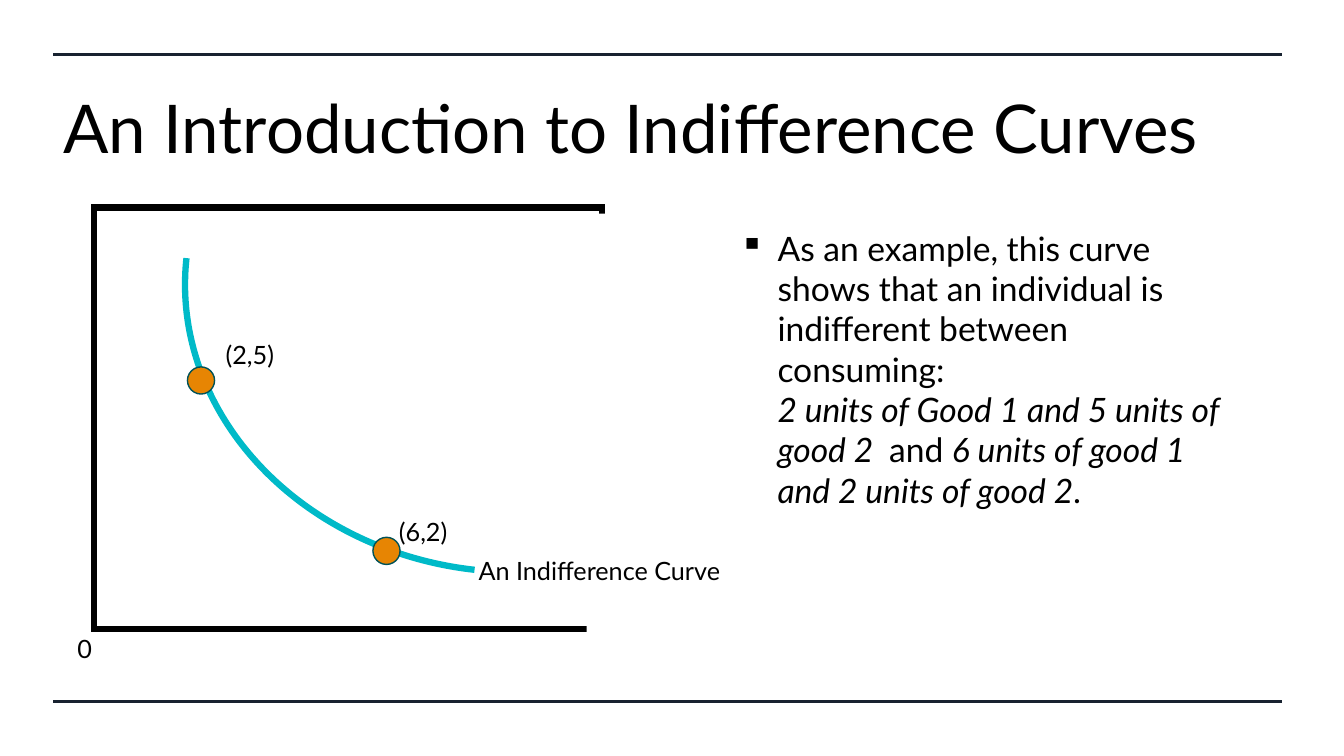
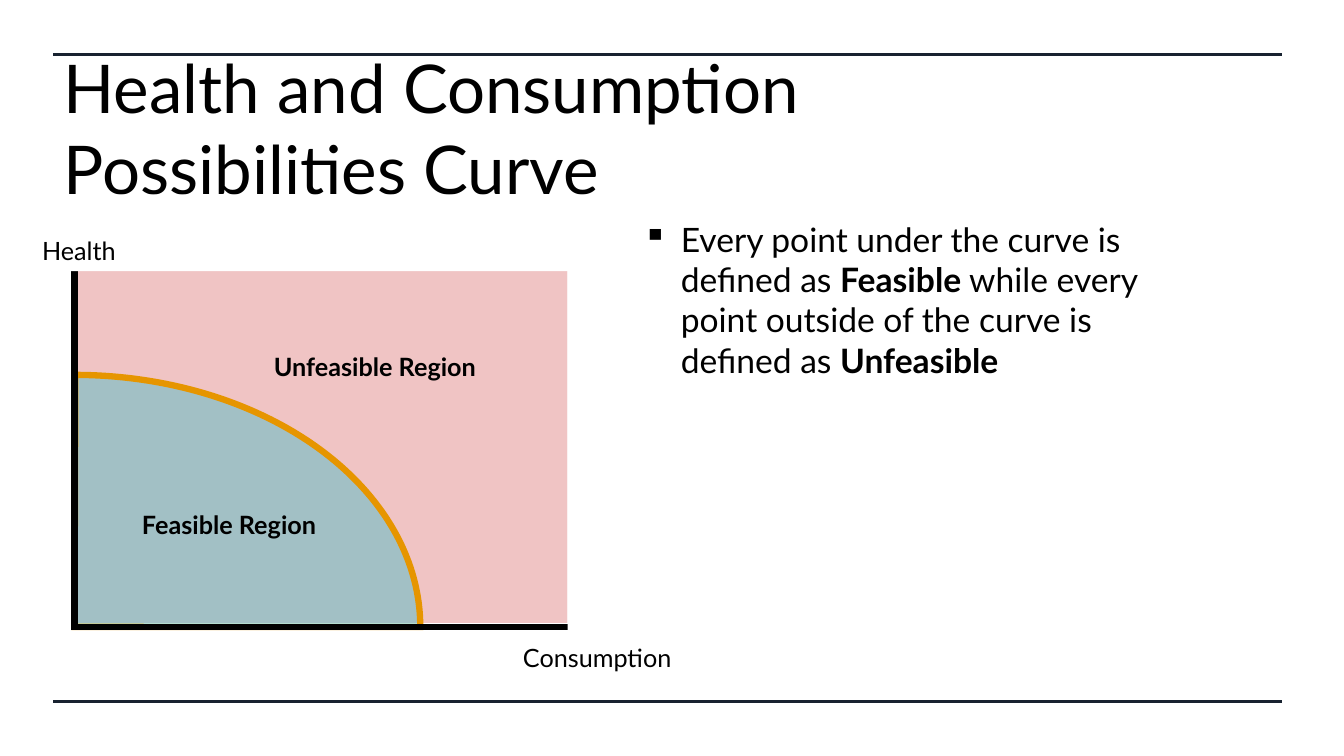
from dataclasses import dataclass
from typing import NamedTuple, Optional

from lxml.etree import SubElement
from pptx import Presentation
from pptx.dml.color import RGBColor
from pptx.enum.shapes import MSO_CONNECTOR, MSO_SHAPE
from pptx.enum.text import MSO_ANCHOR, MSO_AUTO_SIZE, PP_ALIGN
from pptx.oxml.ns import qn
from pptx.shapes.autoshape import Shape
from pptx.slide import Slide
from pptx.text.text import TextFrame, _Paragraph
from pptx.util import Pt

# Shared style
BLACK = RGBColor(0x00, 0x00, 0x00)
WHITE = RGBColor(0xFF, 0xFF, 0xFF)
NAVY = RGBColor(0x18, 0x22, 0x30)
TEAL = RGBColor(0x00, 0xBA, 0xC8)
DARK_TEAL = RGBColor(0x00, 0x52, 0x58)
ORANGE = RGBColor(0xE7, 0x85, 0x03)
AMBER = RGBColor(0xE6, 0x95, 0x00)
RED = RGBColor(0xC0, 0x00, 0x00)

FONT = "Lato"
TITLE_SIZE, BODY_SIZE, LABEL_SIZE = 48, 24, 18
BULLET_INDENT = 27
CURVE_WIDTH = 4.5
LABEL_HEIGHT = 28.8
DOT_SIZE = 19.4
RULE_LEFT, RULE_RIGHT = 38.2, 915.8
RULE_TOPS = (38.9, 501.1)


class Box(NamedTuple):
    left: float
    top: float
    width: float
    height: float

    def lengths(self) -> list[Pt]:
        return [Pt(value) for value in self]


class Words(NamedTuple):
    text: str
    bold: bool = False
    italic: bool = False


@dataclass(frozen=True)
class Label:
    text: str
    left: float
    top: float
    width: float
    bold: bool = False


@dataclass(frozen=True)
class Figure:
    kind: MSO_SHAPE
    box: Box
    fill: Optional[RGBColor] = None
    opacity: int = 100
    line: Optional[RGBColor] = None
    line_width: float = CURVE_WIDTH
    rotation: float = 0
    adjustments: tuple[float, ...] = ()


TITLE_BOX = Box(38.2, 46.8, 837.4, 87.8)


# Text helpers
def add_words(paragraph: _Paragraph, words: Words, size: float) -> None:
    for index, line in enumerate(words.text.split("\n")):
        if index:
            paragraph.add_line_break()
        if line:
            run = paragraph.add_run()
            run.text = line
            font = run.font
            font.name, font.size = FONT, Pt(size)
            font.bold, font.italic = words.bold, words.italic
            font.color.rgb = BLACK


def add_text_frame(slide: Slide, box: Box, wrap: bool) -> TextFrame:
    frame = slide.shapes.add_textbox(*box.lengths()).text_frame
    frame.word_wrap = wrap
    frame.vertical_anchor = MSO_ANCHOR.TOP
    return frame


def add_label(slide: Slide, label: Label) -> None:
    box = Box(label.left, label.top, label.width, LABEL_HEIGHT)
    frame = add_text_frame(slide, box, wrap=False)
    frame.auto_size = MSO_AUTO_SIZE.SHAPE_TO_FIT_TEXT
    add_words(frame.paragraphs[0], Words(label.text, bold=label.bold), LABEL_SIZE)


def add_bullet(slide: Slide, box: Box, parts: list[Words]) -> None:
    paragraph = add_text_frame(slide, box, wrap=True).paragraphs[0]
    properties = paragraph._p.get_or_add_pPr()
    properties.set("marL", str(Pt(BULLET_INDENT)))
    properties.set("indent", str(-Pt(BULLET_INDENT)))
    SubElement(properties, qn("a:buChar")).set("char", "▪")
    for words in parts:
        add_words(paragraph, words, BODY_SIZE)


# Shape helpers
def add_figure(slide: Slide, figure: Figure) -> Shape:
    shape = slide.shapes.add_shape(figure.kind, *figure.box.lengths())
    shape.shadow.inherit = False
    shape.rotation = figure.rotation
    for index, value in enumerate(figure.adjustments):
        shape.adjustments[index] = value
    if figure.fill is None:
        shape.fill.background()
    else:
        shape.fill.solid()
        shape.fill.fore_color.rgb = figure.fill
        if figure.opacity < 100:
            color = shape._element.spPr.find(qn("a:solidFill"))[0]
            SubElement(color, qn("a:alpha")).set("val", str(figure.opacity * 1000))
    if figure.line is None:
        shape.line.fill.background()
    else:
        shape.line.color.rgb = figure.line
        shape.line.width = Pt(figure.line_width)
        outline = shape._element.spPr.find(qn("a:ln"))
        SubElement(outline, qn("a:miter")).set("lim", "800000")
    return shape


def axes(left: float, top: float) -> Figure:
    return Figure(MSO_SHAPE.RECTANGLE, Box(left, top, 362.9, 301), line=BLACK)


def mask(box: Box) -> Figure:
    return Figure(MSO_SHAPE.RECTANGLE, box, fill=WHITE)


def dot(left: float, top: float) -> Figure:
    return Figure(MSO_SHAPE.OVAL, Box(left, top, DOT_SIZE, DOT_SIZE),
                  fill=ORANGE, line=DARK_TEAL, line_width=1)


# Common slide: two rules and a title
def add_rules(slide: Slide) -> None:
    for top in RULE_TOPS:
        rule = slide.shapes.add_connector(
            MSO_CONNECTOR.STRAIGHT, Pt(RULE_LEFT), Pt(top), Pt(RULE_RIGHT), Pt(top))
        rule.line.color.rgb = NAVY
        rule.line.width = Pt(2.25)
        SubElement(rule._element.spPr, qn("a:effectLst"))


def add_titled_slide(deck: Presentation, heading: str) -> Slide:
    slide = deck.slides.add_slide(deck.slide_layouts[5])
    add_rules(slide)
    title = slide.shapes.title
    title.left, title.top, title.width, title.height = TITLE_BOX.lengths()
    frame = title.text_frame
    frame.word_wrap = True
    frame.auto_size = MSO_AUTO_SIZE.NONE
    frame.vertical_anchor = MSO_ANCHOR.MIDDLE
    paragraph = frame.paragraphs[0]
    paragraph.alignment = PP_ALIGN.LEFT
    add_words(paragraph, Words(heading), TITLE_SIZE)
    return slide


def add_diagram(slide: Slide, figures: list[Figure], labels: list[Label]) -> None:
    for figure in figures:
        add_figure(slide, figure)
    for label in labels:
        add_label(slide, label)


def build_indifference(deck: Presentation) -> None:
    slide = add_titled_slide(deck, "An Introduction to Indifference Curves")
    add_bullet(slide, Box(521.3, 159.1, 364.3, 309.6), [
        Words("As an example, this curve shows that an individual is "
              "indifferent between consuming:\n"),
        Words("2 units of Good 1 and 5 units of good 2  ", italic=True),
        Words("and "),
        Words("6 units of good 1 and 2 units of good 2", italic=True),
        Words("."),
    ])
    curve = Figure(MSO_SHAPE.ARC, Box(131.8, 10.8, 457.9, 397.4),
                   line=TEAL, rotation=186.3)
    add_diagram(slide, [
        axes(67, 148.3),
        mask(Box(419, 152.6, 40.3, 326.9)),
        curve,
        dot(133.9, 262.1),
        dot(266.4, 383.8),
    ], [
        Label("0", 48.2, 448.6, 24.5),
        Label("An Indifference Curve", 334.8, 393.1, 189.4),
        Label("(2,5)", 154.1, 239, 50.4),
        Label("(6,2)", 277.9, 365, 50.4),
    ])


def build_possibilities(deck: Presentation) -> None:
    slide = add_titled_slide(deck, "Health and Consumption\nPossibilities Curve")
    add_bullet(slide, Box(452.2, 152.6, 413.3, 309.6), [
        Words("Every point under the curve is defined as "),
        Words("Feasible", bold=True),
        Words(" while every point outside of the curve is defined as "),
        Words("Unfeasible", bold=True),
    ])
    unfeasible = Figure(MSO_SHAPE.RECTANGLE, Box(53.3, 190.8, 352.1, 254.2),
                        fill=RED, opacity=23)
    # Quarter ellipse centred on the origin of the axes
    feasible = Figure(MSO_SHAPE.PIE, Box(-193.7, 267.8, 493.9, 360),
                      fill=TEAL, opacity=32, line=AMBER, adjustments=(162.11, 0.02))
    add_diagram(slide, [
        unfeasible,
        feasible,
        axes(53.3, 146.9),
        mask(Box(40.3, 139, 393.1, 54.7)),
        mask(Box(405.4, 151.2, 40.3, 326.9)),
    ], [
        Label("Health", 23, 164.2, 68.4),
        Label("Consumption", 366.5, 455, 122.4),
        Label("Feasible Region", 94.3, 360, 144.7, bold=True),
        Label("Unfeasible Region", 188.6, 247.7, 164.9, bold=True),
    ])


def main() -> None:
    deck = Presentation()
    deck.slide_width, deck.slide_height = Pt(960), Pt(540)
    build_indifference(deck)
    build_possibilities(deck)
    deck.save("out.pptx")


if __name__ == "__main__":
    main()
